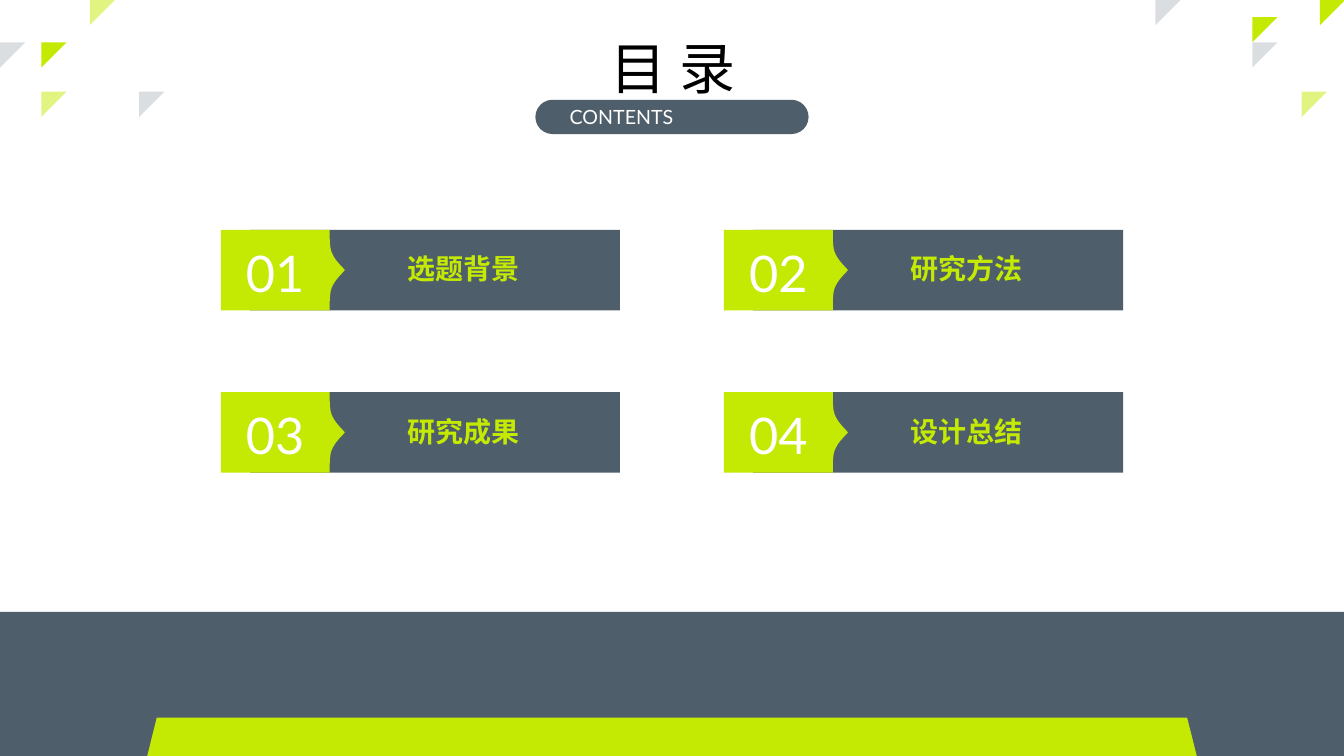
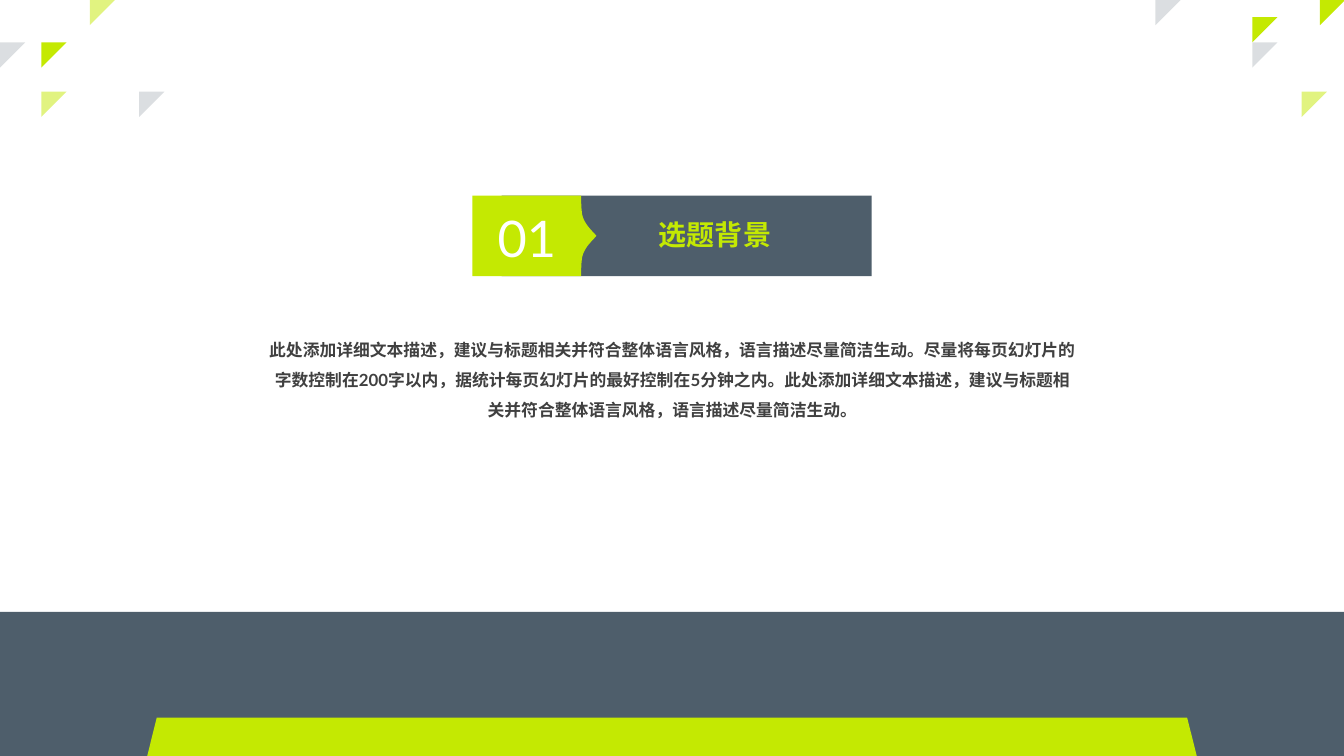
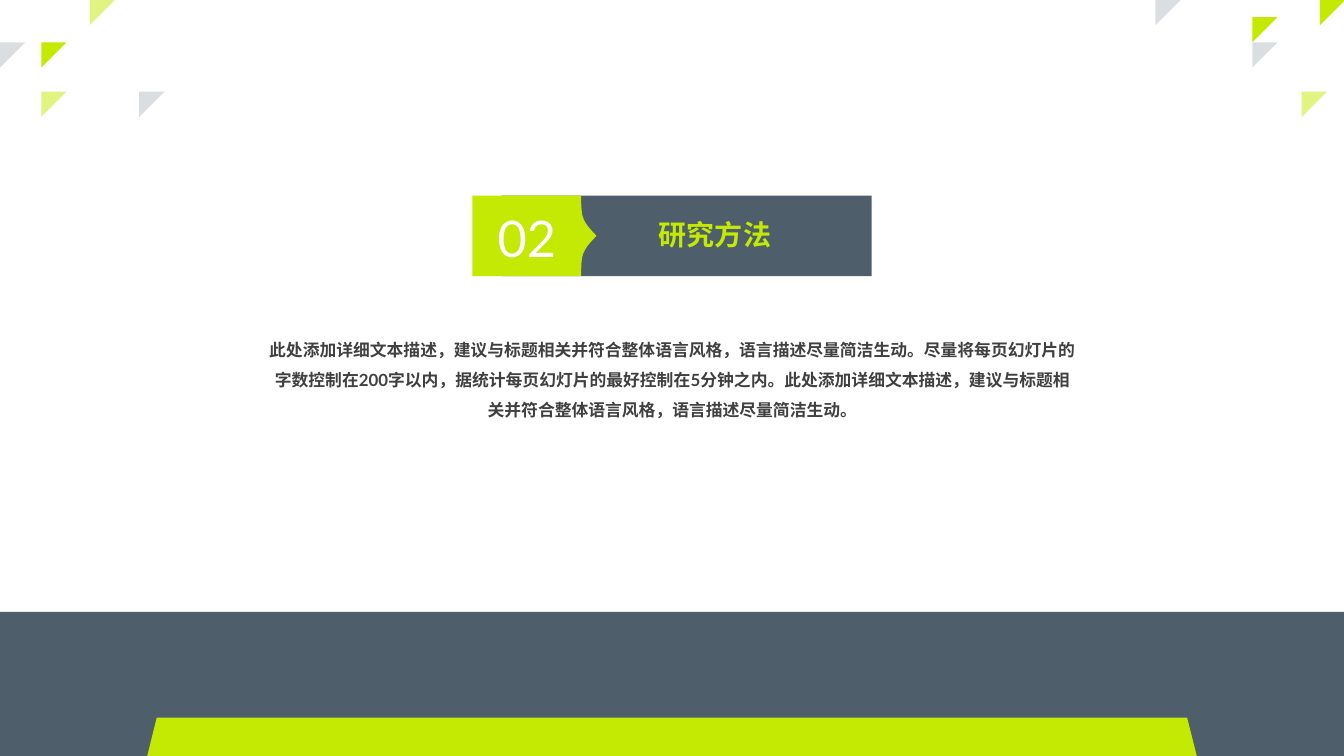
from pptx import Presentation
from pptx.dml.color import RGBColor
from pptx.enum.shapes import MSO_SHAPE
from pptx.enum.text import MSO_ANCHOR, MSO_AUTO_SIZE, PP_ALIGN
from pptx.oxml.ns import qn
from pptx.util import Inches, Pt
from lxml.etree import SubElement

LIME = RGBColor(0xC4, 0xE9, 0x02)
SLATE = RGBColor(0x4E, 0x5E, 0x6B)
WHITE = RGBColor(0xFF, 0xFF, 0xFF)
BLACK = RGBColor(0, 0, 0)
GREY = RGBColor(0x40, 0x40, 0x40)
LATIN, HAN = "Lato", "Noto Sans CJK SC"

WIDE, HIGH = 13.33, 7.5
TAG = 1.08           # banner tag, up to its notch
TIP = 1.23           # banner tag, up to its point
TALL = 0.8           # banner height
INSET = 0.29         # bar start within the banner
BAR = 3.67           # bar width
SPAN = INSET + BAR   # whole banner
COL, ROW = 4.99, 1.61

# Corner triangles: left, top, colour, opacity in percent
CORNERS = [
    (13.09, 0, LIME, 100), (12.42, 0.42, SLATE, 20), (12.91, 0.91, LIME, 50),
    (12.42, 0.17, LIME, 100), (11.46, 0, SLATE, 20), (0.41, 0.42, LIME, 100),
    (0.41, 0.91, LIME, 50), (1.38, 0.91, SLATE, 20), (0, 0.42, SLATE, 20),
    (0.89, 0, LIME, 50),
]
TOPICS = ["选题背景", "研究方法", "研究成果", "设计总结"]
BODY = (
    "此处添加详细文本描述，建议与标题相关并符合整体语言风格，语言描述尽量简洁生动。"
    "尽量将每页幻灯片的字数控制在200字以内，据统计每页幻灯片的最好控制在5分钟之内。"
    "此处添加详细文本描述，建议与标题相关并符合整体语言风格，语言描述尽量简洁生动。"
)


def paint(shape, color, alpha=100):
    shape.shadow.inherit = False
    shape.fill.solid()
    shape.fill.fore_color.rgb = color
    shape.line.fill.background()
    if alpha < 100:
        tint = shape.element.spPr.xpath("a:solidFill/a:srgbClr")[0]
        SubElement(tint, qn("a:alpha")).set("val", str(alpha * 1000))
    return shape


def block(slide, kind, x, y, w, h, color, alpha=100):
    shape = slide.shapes.add_shape(kind, Inches(x), Inches(y), Inches(w), Inches(h))
    return paint(shape, color, alpha)


def write(shape, text, size, color, align=PP_ALIGN.LEFT, bold=False,
          face=LATIN, anchor=MSO_ANCHOR.TOP, wrap=True):
    frame = shape.text_frame
    frame.text = text
    frame.word_wrap = wrap
    frame.auto_size = MSO_AUTO_SIZE.NONE
    frame.vertical_anchor = anchor
    para = frame.paragraphs[0]
    para.alignment = align
    run = para.runs[0]
    font = run.font
    font.size, font.bold, font.name = Pt(size), bold, face
    font.color.rgb = color
    SubElement(font.element if hasattr(font, "element") else run._r.rPr,
               qn("a:ea")).set("typeface", HAN)
    return para


def place(shape, x, y, w, h):
    shape.left, shape.top = Inches(x), Inches(y)
    shape.width, shape.height = Inches(w), Inches(h)
    return shape


def box(slide, x, y, w, h):
    return slide.shapes.add_textbox(Inches(x), Inches(y), Inches(w), Inches(h))


def lift(slide):
    """Bring the title in front of what is drawn so far."""
    title = slide.shapes.title
    slide.shapes.element.append(title.element)
    return title


def curve(a, b, c, d, steps=10):
    """Points along a cubic curve, without its start."""
    for i in range(1, steps + 1):
        t = i / steps
        s = 1 - t
        yield tuple(s**3 * p + 3 * s * s * t * q + 3 * s * t * t * r + t**3 * e
                    for p, q, r, e in zip(a, b, c, d))


def edge():
    """Outline of the tag: upper half, then its mirror image."""
    bend = (1.09, 0.19)
    start = (TAG, 0.03)
    upper = [(0, 0), (TAG, 0), start]
    upper += curve(start, (TAG, 0.07), (TAG, 0.13), bend)
    upper += curve(bend, (1.11, 0.29), (1.21, 0.37), (TIP, TALL / 2))
    return upper + [(x, TALL - y) for x, y in reversed(upper[:-1])]


def banner(slide, x, y, index, title=False):
    block(slide, MSO_SHAPE.RECTANGLE, x + INSET, y, BAR, TALL, SLATE)
    # Pointed tag with the number
    points = [(Inches(x + p), Inches(y + q)) for p, q in edge()]
    pen = slide.shapes.build_freeform(*points[0])
    pen.add_line_segments(points[1:])
    paint(pen.convert_to_shape(), LIME)
    write(box(slide, x + 0.11, y + 0.07, 0.86, 0.71), f"{index + 1:02}", 36,
          WHITE, PP_ALIGN.CENTER, wrap=False)
    # Topic name
    spot = (x + 1.75, y + 0.17, 1.76, 0.44)
    label = place(lift(slide), *spot) if title else box(slide, *spot)
    write(label, TOPICS[index], 20, LIME, bold=True)


def dress(layout, slide):
    """Draw the shared corners and bands, then hand them to the layout."""
    parts = [block(slide, MSO_SHAPE.RIGHT_TRIANGLE, x, y, 0.25, 0.25, color, alpha)
             for x, y, color, alpha in CORNERS]
    for part in parts:
        part.rotation = 90
    parts.append(block(slide, MSO_SHAPE.RECTANGLE, 0, 6.07, WIDE, HIGH - 6.07, SLATE))
    parts.append(block(slide, MSO_SHAPE.TRAPEZOID, 1.46, 7.12, WIDE - 2 * 1.46,
                       HIGH - 7.12, LIME))
    for key, part in enumerate(parts, 100):
        part.element.xpath("p:nvSpPr/p:cNvPr")[0].set("id", str(key))
        layout.shapes.element.append(part.element)


def contents(slide):
    title = place(slide.shapes.title, 5.02, 0.28, 3.31, 0.77)
    write(title, "目 录", 40, BLACK, PP_ALIGN.CENTER, face=HAN)
    pill = block(slide, MSO_SHAPE.ROUNDED_RECTANGLE, 5.31, 0.99, 2.71, 0.34, SLATE)
    pill.adjustments[0] = 0.5
    write(pill, "CONTENTS", 14, WHITE, PP_ALIGN.JUSTIFY, anchor=MSO_ANCHOR.MIDDLE)
    # The rounded ends already inset the text a little
    pill.text_frame.margin_left = Inches(0.29)
    for index in range(len(TOPICS)):
        row, col = divmod(index, 2)
        banner(slide, 2.19 + col * COL, 2.28 + row * ROW, index)


def section(slide, index):
    banner(slide, (WIDE - SPAN) / 2, 1.94, index, title=True)
    para = write(box(slide, 2.56, 3.22, 8.22, 0.98), BODY, 12, GREY,
                 PP_ALIGN.CENTER, bold=True)
    para.line_spacing = 1.5


def main():
    deck = Presentation()
    deck.slide_width, deck.slide_height = Inches(WIDE), Inches(HIGH)
    layout = deck.slide_layouts[5]
    first = deck.slides.add_slide(layout)
    dress(layout, first)
    contents(first)
    for index in range(2):
        section(deck.slides.add_slide(layout), index)
    deck.save("out.pptx")


if __name__ == "__main__":
    main()
